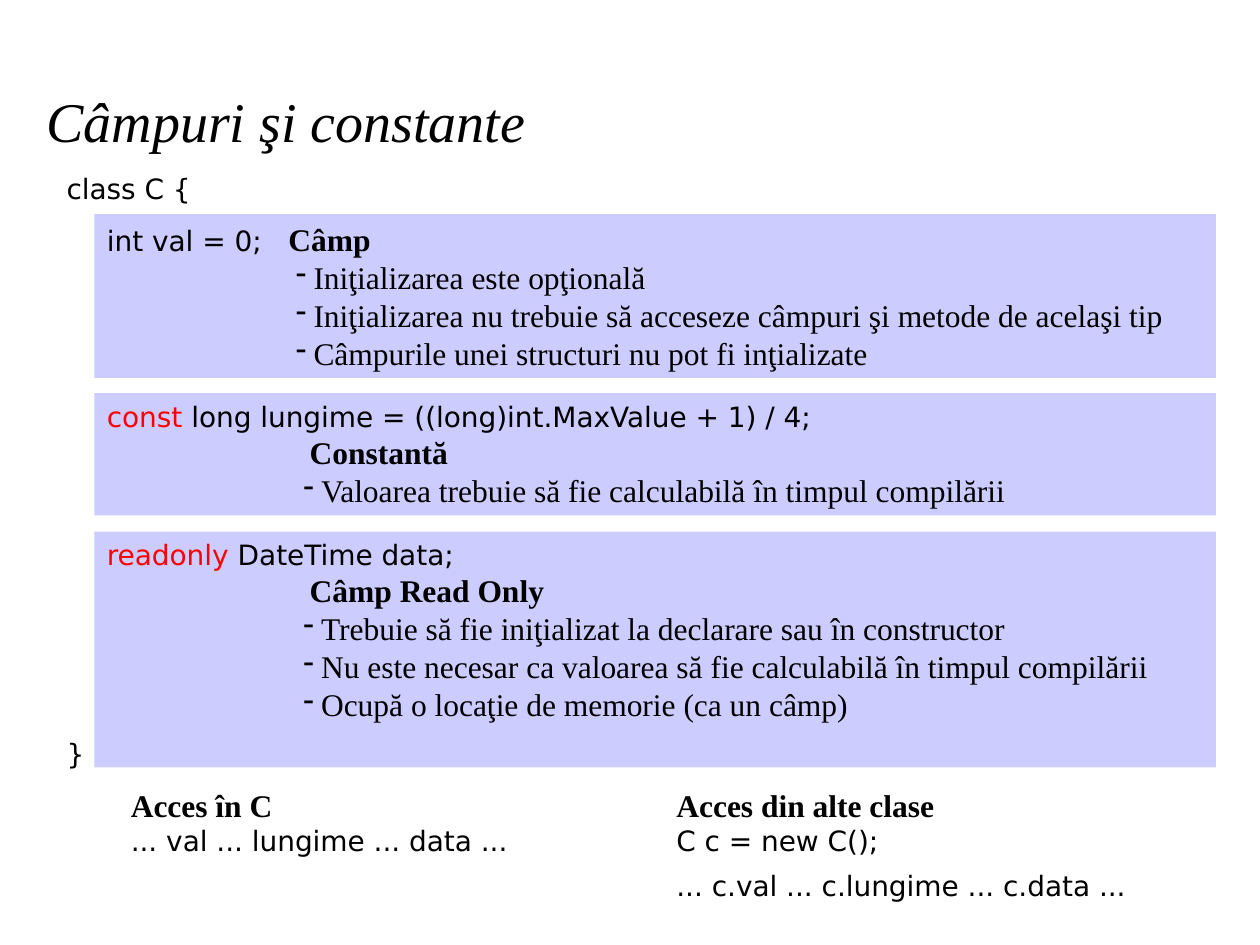
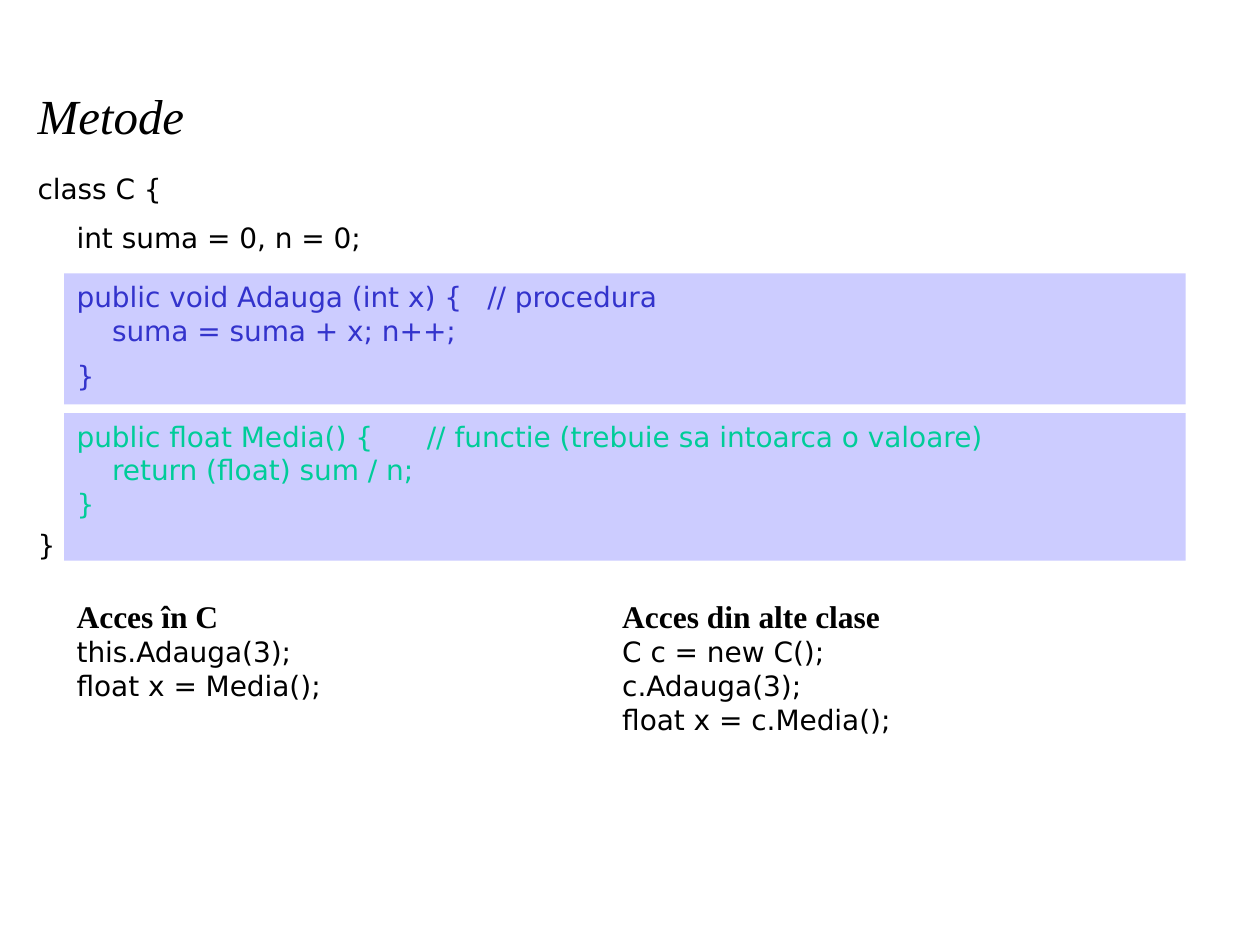
from dataclasses import dataclass
from typing import NamedTuple

import pptx
import pptx.dml.color
import pptx.enum.shapes
import pptx.enum.text
import pptx.oxml.ns
import pptx.util
from lxml import etree

PX = 9144


class Style(NamedTuple):
    font: str
    size: int
    color: str = "000000"
    bold: bool = False
    italic: bool = False


@dataclass(frozen=True)
class Theme:
    band: str = "CCCCFF"
    paper: str = "FFFFFF"
    large_title: Style = Style("Times New Roman", 32, italic=True)
    title: Style = Style("Times New Roman", 28, italic=True)
    term: Style = Style("Times New Roman", 18, bold=True)
    note: Style = Style("Times New Roman", 18)
    code: Style = Style("DejaVu Sans", 16)
    keyword: Style = Style("DejaVu Sans", 16, "FF0000")
    procedure: Style = Style("DejaVu Sans", 16, "3333CC")
    function: Style = Style("DejaVu Sans", 16, "00CC99")


class Line(NamedTuple):
    runs: list
    indent: int = 0
    dash: bool = False
    tab: int = 0
    before: float = 0


theme = Theme()
DASH_WIDTH = 14
LAST_LINE_GAP = 6.5


def add_lines(slide, box, lines, fill=None, anchor=pptx.enum.text.MSO_ANCHOR.TOP):
    left, top, width, height = [length * PX for length in box]
    if fill:
        block = slide.shapes.add_shape(
            pptx.enum.shapes.MSO_SHAPE.RECTANGLE, left, top, width, height)
        block.shadow.inherit = False
        block.fill.solid()
        block.fill.fore_color.rgb = pptx.dml.color.RGBColor.from_string(fill)
        block.line.fill.background()
    else:
        block = slide.shapes.add_textbox(left, top, width, height)
    frame = block.text_frame
    frame.word_wrap = True
    frame.vertical_anchor = anchor
    for number, line in enumerate(lines):
        paragraph = frame.add_paragraph() if number else frame.paragraphs[0]
        paragraph.alignment = pptx.enum.text.PP_ALIGN.LEFT
        properties = paragraph._p.get_or_add_pPr()
        hang = DASH_WIDTH if line.dash else 0
        if line.indent:
            properties.set("marL", str((line.indent + hang) * PX))
            properties.set("indent", str(-hang * PX))
        if line.dash:
            bullet = etree.SubElement(properties, pptx.oxml.ns.qn("a:buChar"))
            bullet.set("char", "-")
        if line.tab:
            tabs = etree.SubElement(properties, pptx.oxml.ns.qn("a:tabLst"))
            stop = etree.SubElement(tabs, pptx.oxml.ns.qn("a:tab"))
            stop.set("pos", str(line.tab * PX))
            stop.set("algn", "l")
        if line.before:
            paragraph.space_before = pptx.util.Pt(line.before)
        for text, style in line.runs:
            run = paragraph.add_run()
            run.text = text
            run.font.name = style.font
            run.font.size = pptx.util.Pt(style.size)
            run.font.bold = style.bold
            run.font.italic = style.italic
            run.font.color.rgb = pptx.dml.color.RGBColor.from_string(style.color)


def code_lines(texts, style=theme.code, gap=0):
    lines = [Line([(text, style)]) for text in texts]
    lines[-1] = lines[-1]._replace(before=gap)
    return lines


deck = pptx.Presentation()
deck.slide_width = 1000 * PX
deck.slide_height = 750 * PX

field_lines = [Line([("int val = 0;\t", theme.code), ("Câmp", theme.term)], tab=144)]
for note in ["Iniţializarea este opţională",
             "Iniţializarea nu trebuie să acceseze câmpuri şi metode de acelaşi tip",
             "Câmpurile unei structuri nu pot fi inţializate"]:
    field_lines.append(Line([(note, theme.note)], indent=150, dash=True))

constant_lines = [
    Line([("const", theme.keyword),
          (" long lungime = ((long)int.MaxValue + 1) / 4;", theme.code)]),
    Line([("Constantă", theme.term)], indent=161),
    Line([("Valoarea trebuie să fie calculabilă în timpul compilării", theme.note)],
         indent=156, dash=True),
]

readonly_lines = [
    Line([("readonly", theme.keyword), (" DateTime data;", theme.code)]),
    Line([("Câmp Read Only", theme.term)], indent=161),
]
for note in ["Trebuie să fie iniţializat la declarare sau în constructor",
             "Nu este necesar ca valoarea să fie calculabilă în timpul compilării",
             "Ocupă o locaţie de memorie (ca un câmp)"]:
    readonly_lines.append(Line([(note, theme.note)], indent=156, dash=True))

procedure_lines = code_lines(
    ["public void Adauga (int x) {\t// procedura", "    suma = suma + x; n++;", "}"],
    theme.procedure, LAST_LINE_GAP)
procedure_lines[0] = procedure_lines[0]._replace(tab=326)

function_lines = code_lines(
    ["public float Media() {\t// functie (trebuie sa intoarca o valoare)",
     "    return (float) sum / n;", "}"], theme.function)
function_lines[0] = function_lines[0]._replace(tab=278)

topics = [
    dict(title="Câmpuri şi constante", title_style=theme.large_title,
         title_box=(27, 60, 850, 71), class_left=43, member_left=75, close_top=580,
         members=[(170, 130, theme.band, field_lines),
                  (312, 97, theme.band, constant_lines),
                  (422, 187, theme.band, readonly_lines)],
         inside=((94, 619, 394, 67), code_lines(["... val ... lungime ... data ..."])),
         outside=((527, 619, 437, 107), code_lines(
             ["C c = new C();", "... c.val ... c.lungime ... c.data ..."],
             gap=LAST_LINE_GAP))),
    dict(title="Metode", title_style=theme.title,
         title_box=(20, 60, 850, 63), class_left=20, member_left=51, close_top=414,
         members=[(170, 37, theme.paper, code_lines(["int suma = 0, n = 0;"])),
                  (217, 104, theme.band, procedure_lines),
                  (328, 117, theme.band, function_lines)],
         inside=((51, 469, 393, 94), code_lines(["this.Adauga(3);", "float x = Media();"])),
         outside=((484, 469, 437, 120), code_lines(
             ["C c = new C();", "c.Adauga(3);", "float x = c.Media();"]))),
]

for topic in topics:
    slide = deck.slides.add_slide(deck.slide_layouts[6])
    add_lines(slide, topic["title_box"], [Line([(topic["title"], topic["title_style"])])],
              anchor=pptx.enum.text.MSO_ANCHOR.MIDDLE)
    add_lines(slide, (topic["class_left"], 131, 134, 37), code_lines(["class C {"]))
    for top, height, fill, lines in topic["members"]:
        add_lines(slide, (topic["member_left"], top, 890, height), lines, fill)
    add_lines(slide, (topic["class_left"], topic["close_top"], 39, 37), code_lines(["}"]))
    for heading, access in [("Acces în C", "inside"), ("Acces din alte clase", "outside")]:
        box, lines = topic[access]
        add_lines(slide, box, [Line([(heading, theme.term)])] + lines)

deck.save("out.pptx")
